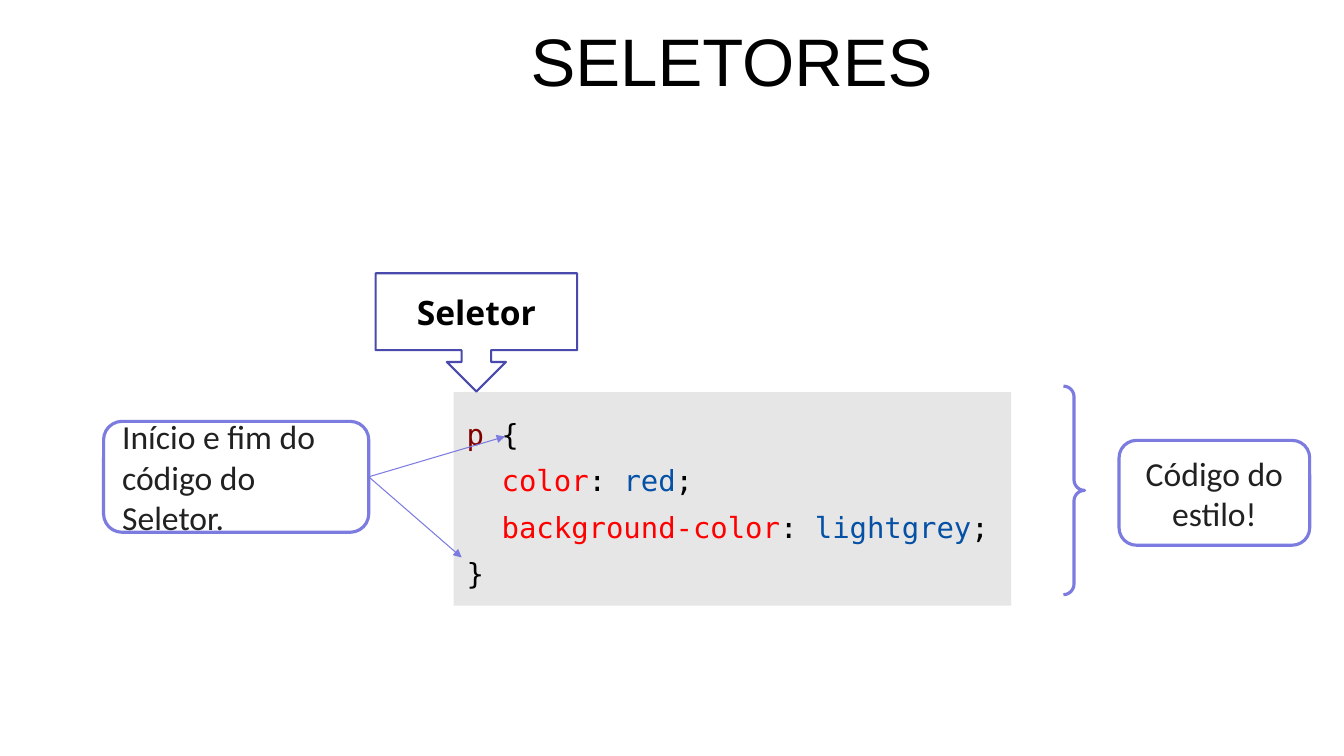
from lxml.etree import SubElement
from pptx import Presentation
from pptx.dml.color import RGBColor
from pptx.enum.shapes import MSO_CONNECTOR, MSO_SHAPE
from pptx.enum.text import MSO_ANCHOR, PP_ALIGN
from pptx.oxml.ns import qn
from pptx.util import Pt

COLORS = {
    "white": "FFFFFF", "black": "000000", "ink": "212121", "panel": "E7E6E6",
    "violet": "7C7CE0", "indigo": "4A4AAD",
    "selector": "800000", "property": "FF0000", "value": "0451A5",
}
INSET = 9.4


def rgb(name):
    return RGBColor.from_string(COLORS[name])


def add_box(kind, left, top, width, height, fill, line=None, weight=0):
    sp = s.shapes.add_shape(kind, Pt(left), Pt(top), Pt(width), Pt(height))
    sp.shadow.inherit = False
    sp.fill.solid()
    sp.fill.fore_color.rgb = rgb(fill)
    if line:
        sp.line.color.rgb = rgb(line)
        sp.line.width = Pt(weight)
    else:
        sp.line.fill.background()
    tf = sp.text_frame
    tf.word_wrap = True
    tf.margin_left = tf.margin_right = tf.margin_top = tf.margin_bottom = Pt(INSET)
    return sp


prs = Presentation()
prs.slide_width, prs.slide_height = Pt(960), Pt(540)
s = prs.slides.add_slide(prs.slide_layouts[5])

title = s.shapes.title
title.left, title.top, title.width, title.height = Pt(193.7), Pt(13), Pt(658), Pt(112.3)
tf = title.text_frame
tf.vertical_anchor = MSO_ANCHOR.TOP
tf.margin_top = Pt(7.2)
p = tf.paragraphs[0]
p.text = "SELETORES"
p.alignment = PP_ALIGN.CENTER
p.line_spacing = 0.9
p.font.size = Pt(48)
p.font.name = "Arial"
p.font.color.rgb = rgb("black")

CODE = [
    (0, [("p", "selector"), (" {", "black")]),
    (25, [("color", "property"), (": ", "black"), ("red", "value"), (";", "black")]),
    (25, [("background-color", "property"), (": ", "black"),
          ("lightgrey", "value"), (";", "black")]),
    (0, [("}", "black")]),
]
code = add_box(MSO_SHAPE.RECTANGLE, 324, 280, 398.2, 152.6, "panel")
tf = code.text_frame
tf.vertical_anchor = MSO_ANCHOR.TOP
for i, (indent, tokens) in enumerate(CODE):
    p = tf.add_paragraph() if i else tf.paragraphs[0]
    p.alignment = PP_ALIGN.LEFT
    p.line_spacing = 1.33
    p.font.size = Pt(20.7)
    p.font.name = "DejaVu Sans Mono"
    p._p.get_or_add_pPr().set("marL", str(Pt(indent)))
    for text, color in tokens:
        r = p.add_run()
        r.text = text
        r.font.color.rgb = rgb(color)

LABELS = [
    (MSO_SHAPE.DOWN_ARROW_CALLOUT, (268.3, 195.2, 144, 84.5), "indigo", 1.5,
     "Seletor", "Open Sans", "black", True, PP_ALIGN.CENTER),
    (MSO_SHAPE.FLOWCHART_ALTERNATE_PROCESS, (74, 301, 189.4, 79.2), "violet", 2.25,
     "Início e fim do código do Seletor.", "Calibri", "ink", False, PP_ALIGN.LEFT),
    (MSO_SHAPE.FLOWCHART_ALTERNATE_PROCESS, (799.3, 314.6, 136.2, 74.9), "violet", 2.25,
     "Código do estilo!", "Calibri", "ink", False, PP_ALIGN.CENTER),
]
for kind, place, line, weight, text, font, color, bold, align in LABELS:
    sp = add_box(kind, *place, "white", line, weight)
    if kind == MSO_SHAPE.DOWN_ARROW_CALLOUT:
        sp.adjustments[3] = 0.65
    sp.text_frame.vertical_anchor = MSO_ANCHOR.MIDDLE
    p = sp.text_frame.paragraphs[0]
    p.text = text
    p.alignment = align
    p.font.size = Pt(24)
    p.font.name = font
    p.font.bold = bold
    p.font.color.rgb = rgb(color)

for x, y in [(360.7, 311.8), (329.8, 398.2)]:
    arrow = s.shapes.add_connector(MSO_CONNECTOR.STRAIGHT, Pt(263.4), Pt(340.6), Pt(x), Pt(y))
    arrow.line.color.rgb = rgb("violet")
    arrow.line.width = Pt(0.75)
    SubElement(arrow.line._get_or_add_ln(), qn("a:tailEnd"), type="triangle")
    SubElement(arrow._element.spPr, qn("a:effectLst"))

brace = add_box(MSO_SHAPE.RIGHT_BRACE, 759.6, 275.8, 15.1, 149, "white", "violet", 2.25)
brace.adjustments[0] = 0.5

prs.save("out.pptx")
